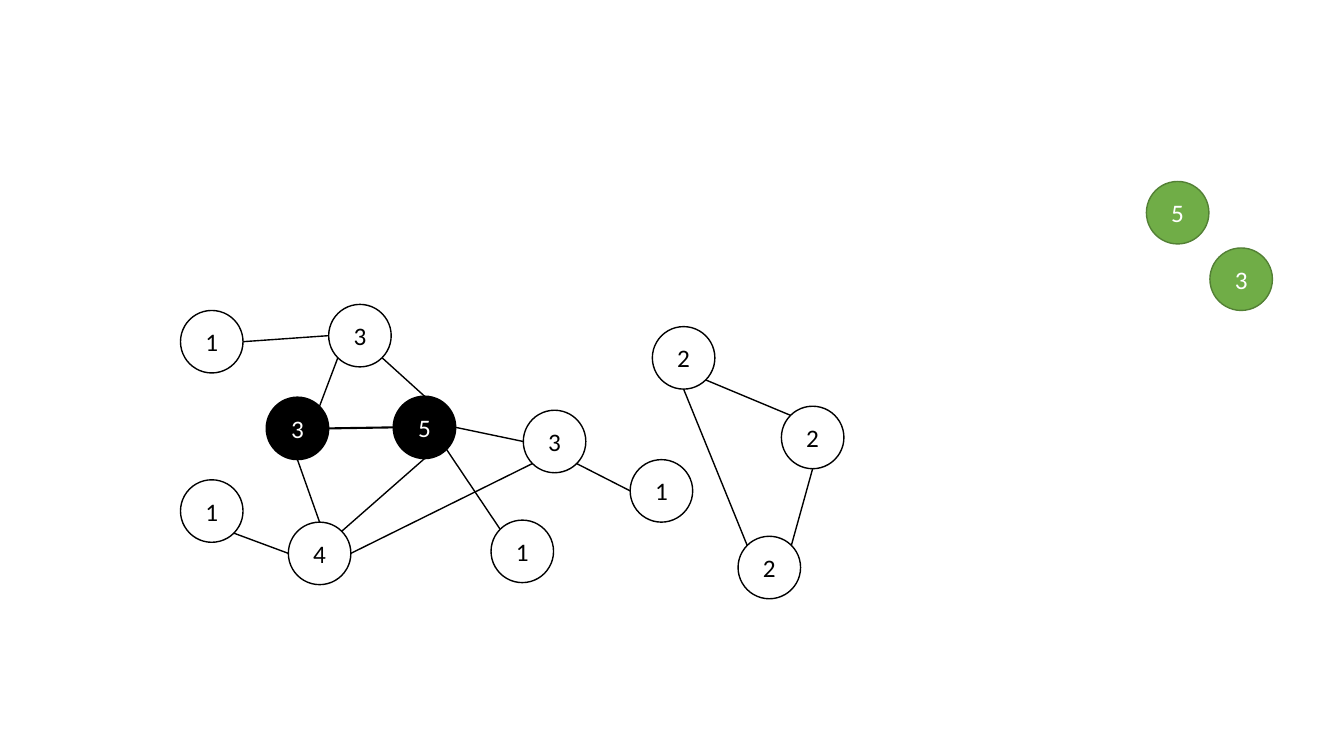
import math
from lxml import etree
from pptx import Presentation
from pptx import util as u
from pptx.dml.color import RGBColor
from pptx.enum import shapes, text
from pptx.oxml.ns import qn

SIZE = 0.62
ANGLES = {"right": 0, "bottom_right": 45, "bottom": 90, "bottom_left": 135,
          "left": 180, "top_left": 225, "top": 270, "top_right": 315}
PLAIN = ("FFFFFF", "000000", "000000")
VISITED = ("000000", "000000", "FFFFFF")
RESULT = ("70AD47", "538035", "FFFFFF")


def color(value):
    return RGBColor.from_string(value)


def apply(target, values):
    for name, value in values.items():
        setattr(target, name, value)


class Graph:
    font = {"name": "Calibri", "size": u.Pt(18)}
    frame = {"word_wrap": True, "vertical_anchor": text.MSO_ANCHOR.MIDDLE}

    def __init__(self, slide):
        self.s = slide

    def node(self, left, top, label, style):
        fill, line, ink = style
        sp = self.s.shapes.add_shape(
            shapes.MSO_SHAPE.FLOWCHART_CONNECTOR,
            *(u.Inches(v) for v in (left, top, SIZE, SIZE)))
        sp.shadow.inherit = False
        sp.fill.solid()
        sp.fill.fore_color.rgb = color(fill)
        sp.line.color.rgb = color(line)
        sp.line.width = u.Pt(1)
        tf = sp.text_frame
        apply(tf, self.frame)
        p = tf.paragraphs[0]
        p.alignment = text.PP_ALIGN.CENTER
        r = p.add_run()
        r.text = label
        apply(r.font, self.font)
        r.font.color.rgb = color(ink)

    def edge(self, start, end, width=1):
        cx = self.s.shapes.add_connector(
            shapes.MSO_CONNECTOR.STRAIGHT,
            *(u.Inches(v) for v in start + end))
        cx.line.color.rgb = color("000000")
        cx.line.width = u.Pt(width)
        etree.SubElement(cx._element.spPr, qn("a:effectLst"))


NODES = {
    "one_top": (1.79, 3.08, "1", PLAIN),
    "three_visited": (2.64, 3.94, "3", VISITED),
    "one_left": (1.79, 4.76, "1", PLAIN),
    "four": (2.86, 5.18, "4", PLAIN),
    "five_visited": (3.9, 3.93, "5", VISITED),
    "three_top": (3.26, 3.02, "3", PLAIN),
    "one_low": (4.87, 5.16, "1", PLAIN),
    "three_right": (5.19, 4.07, "3", PLAIN),
    "one_right": (6.25, 4.56, "1", PLAIN),
    "two_top": (6.47, 3.24, "2", PLAIN),
    "two_low": (7.32, 5.32, "2", PLAIN),
    "two_right": (7.75, 4.03, "2", PLAIN),
    "three_result": (12, 2.46, "3", RESULT),
    "five_result": (11.37, 1.8, "5", RESULT),
}
EDGES = [
    ("three_visited", "right", "five_visited", "left", 1.5),
    ("three_top", "left", "one_top", "right"),
    ("one_left", "bottom_right", "four", "left"),
    ("three_visited", "top_right", "three_top", "bottom_left"),
    ("five_visited", "right", "three_right", "left"),
    ("five_visited", "bottom_right", "one_low", "top_left"),
    ("three_right", "bottom_left", "four", "right"),
    ("three_top", "bottom_right", "five_visited", "top"),
    ("three_visited", "bottom", "four", "top"),
    ("four", "top_right", "five_visited", "bottom"),
    ("three_right", "bottom_right", "one_right", "left"),
    ("two_top", "bottom_right", "two_right", "top_left"),
    ("two_right", "bottom", "two_low", "top_right"),
    ("two_top", "bottom", "two_low", "top_left"),
]


def site(name, side):
    left, top = NODES[name][:2]
    angle = math.radians(ANGLES[side])
    radius = SIZE / 2
    return (left + radius * (1 + math.cos(angle)),
            top + radius * (1 + math.sin(angle)))


prs = Presentation()
prs.slide_width, prs.slide_height = u.Inches(13.33), u.Inches(7.5)
graph = Graph(prs.slides.add_slide(prs.slide_layouts[6]))
for begin, begin_side, end, end_side, *width in EDGES:
    graph.edge(site(begin, begin_side), site(end, end_side), *width)
for node in NODES.values():
    graph.node(*node)
prs.save("out.pptx")
